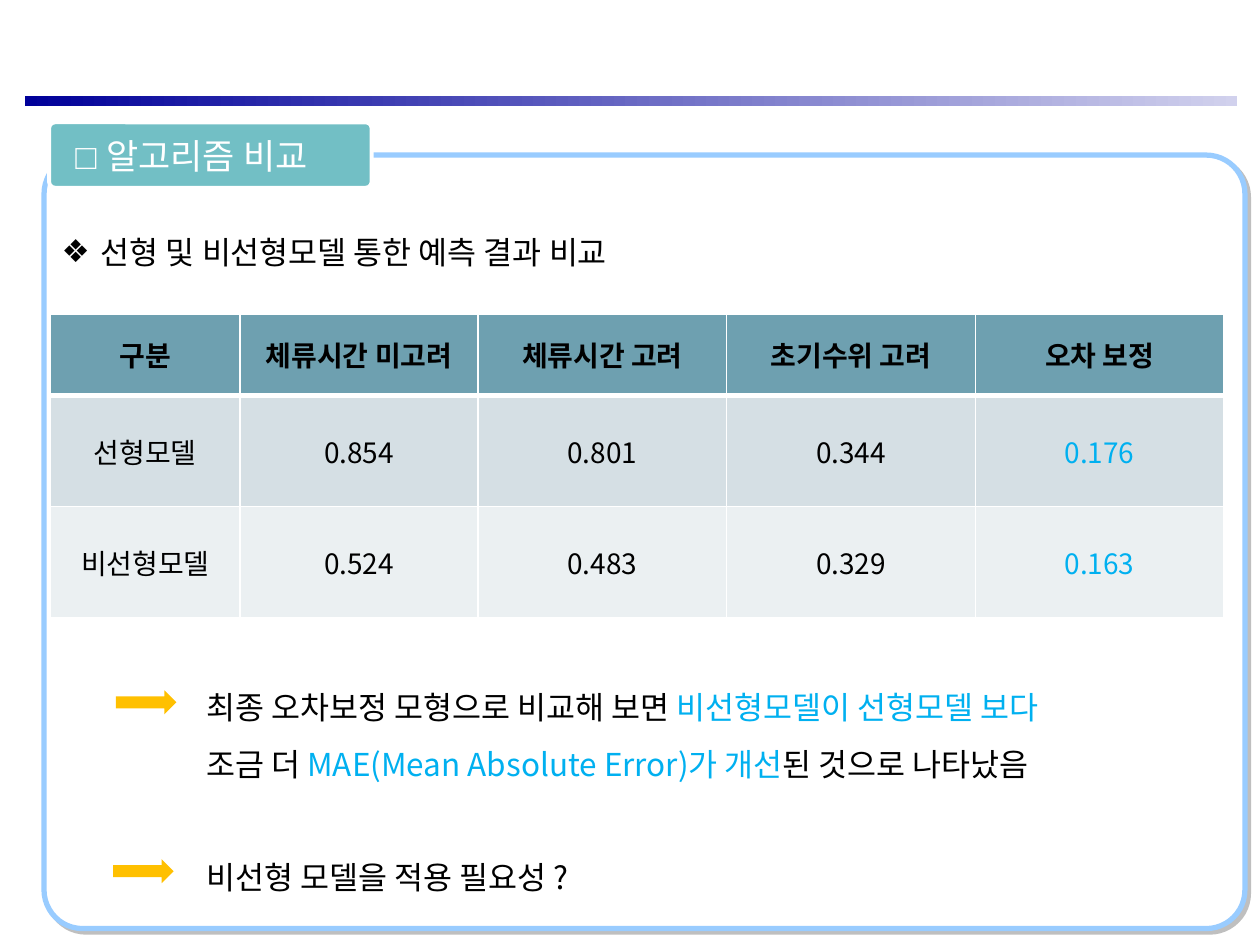
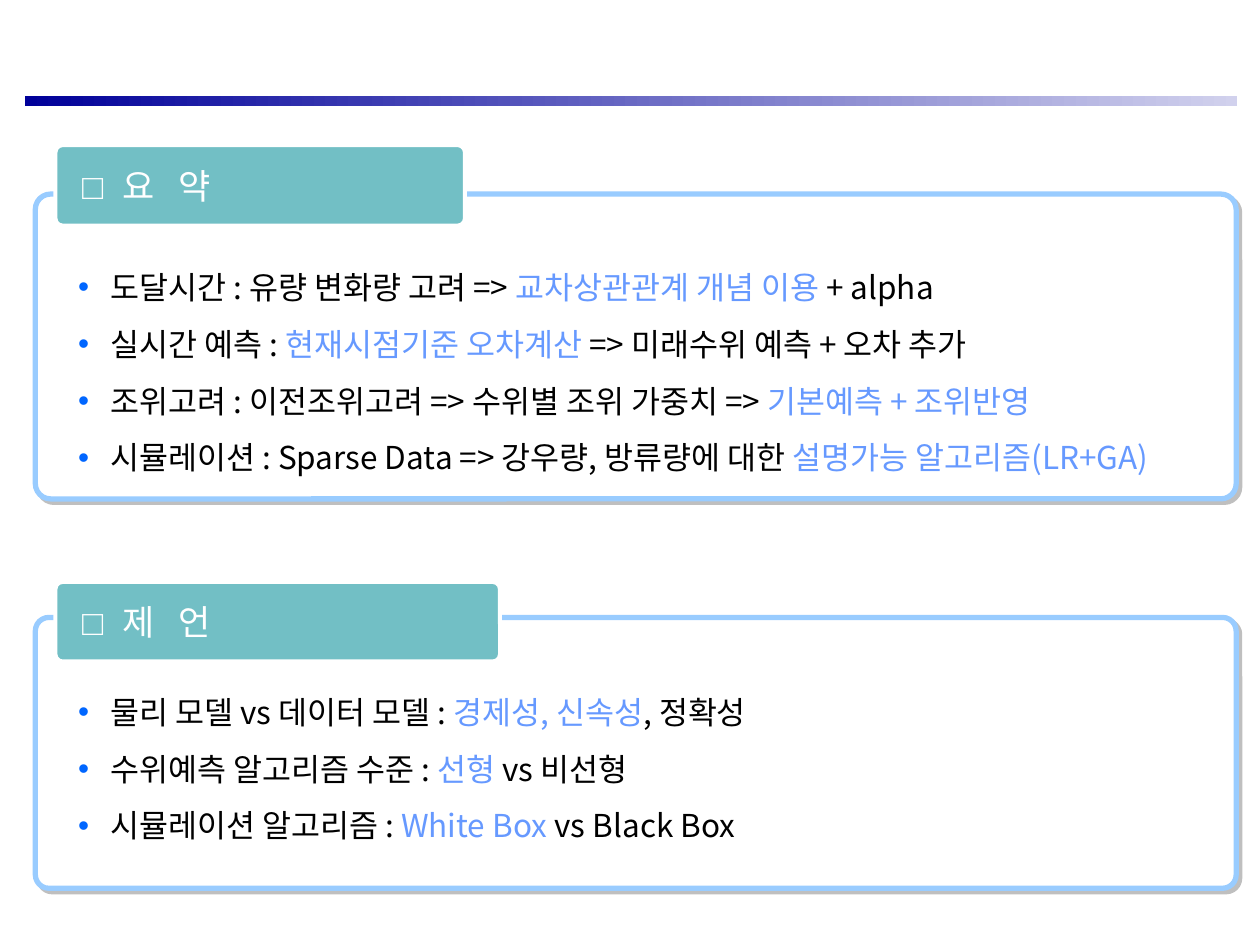
import pptx
import pptx.util
import pptx.dml.color
import pptx.enum.shapes
import pptx.enum.text
import pptx.oxml
import pptx.oxml.ns
from collections import namedtuple
from dataclasses import dataclass
from lxml import etree

Pt = pptx.util.Pt
qn = pptx.oxml.ns.qn
SHAPE = pptx.enum.shapes.MSO_SHAPE
MIDDLE = pptx.enum.text.MSO_ANCHOR.MIDDLE
CENTER = pptx.enum.text.PP_ALIGN.CENTER

Box = namedtuple("Box", "x y w h")


@dataclass(frozen=True)
class Theme:
    font: str = "Noto Sans CJK KR"
    symbol_font: str = "Arial"
    tab_size: float = 20
    body_size: float = 18
    table_size: float = 16
    line_pitch: float = 32.4
    text: str = "000000"
    white: str = "FFFFFF"
    rule_start: str = "000099"
    rule_end: str = "D1D1ED"
    frame: str = "99CCFF"
    shadow: str = "808080"
    tab: str = "72BFC5"
    cyan: str = "00B0F0"
    blue: str = "6699FF"
    bullet: str = "0066FF"
    arrow: str = "FFC000"
    table_rows: tuple = ("6EA0B0", "D5DFE4", "EBF0F2")


T = Theme()


def rgb(color):
    return pptx.dml.color.RGBColor.from_string(color)


def inside(box, dx, dy, w, h):
    """Box of size w by h, offset from the corner of another box."""
    return Box(box.x + dx, box.y + dy, w, h)


def lengths(box):
    return [Pt(v) for v in box]


def add_run(p, text, size, color=T.text, font=T.font, bold=False, spacing=0):
    r = p.add_run()
    r.text = text
    r.font.size, r.font.bold, r.font.name = Pt(size), bold, font
    r.font.color.rgb = rgb(color)
    rPr = r.font._element
    etree.SubElement(rPr, qn("a:ea")).set("typeface", font)
    if spacing:
        rPr.set("spc", str(int(spacing * 100)))


def set_bullet(p, char, indent, color):
    pPr = p._p.get_or_add_pPr()
    pPr.set("marL", str(Pt(indent)))
    pPr.set("indent", str(-Pt(indent)))
    clr = etree.SubElement(pPr, qn("a:buClr"))
    etree.SubElement(clr, qn("a:srgbClr")).set("val", color)
    etree.SubElement(pPr, qn("a:buFont")).set("typeface", T.symbol_font)
    etree.SubElement(pPr, qn("a:buChar")).set("char", char)


def add_shape(s, kind, box, fill, line=None, width=0, adj=None):
    sp = s.shapes.add_shape(kind, *lengths(box))
    sp.shadow.inherit = False
    sp.fill.solid()
    sp.fill.fore_color.rgb = rgb(fill)
    if line:
        sp.line.color.rgb = rgb(line)
        sp.line.width = Pt(width)
    else:
        sp.line.fill.background()
    if adj is not None:
        sp.adjustments[0] = adj
    return sp


def add_text(s, box, paragraphs, bullet=None, pitch=None):
    """Text box; each paragraph is a list of (text, color) runs."""
    tf = s.shapes.add_textbox(*lengths(box)).text_frame
    tf.word_wrap = True
    for i, runs in enumerate(paragraphs):
        p = tf.add_paragraph() if i else tf.paragraphs[0]
        if pitch:
            p.line_spacing = Pt(pitch)
        if bullet:
            set_bullet(p, *bullet)
        for text, color in runs:
            add_run(p, text, T.body_size, color)
    return tf


def add_header_rule(s):
    sp = add_shape(s, SHAPE.RECTANGLE, Box(14.4, 54.7, 692.6, 5.8), T.rule_start)
    sp.fill.gradient()
    sp.fill.gradient_angle = 0
    for stop, color, pos in zip(sp.fill.gradient_stops, (T.rule_start, T.rule_end), (0, 1)):
        stop.color.rgb = rgb(color)
        stop.position = pos


def add_panel(s, box, tab, label, box_gap=0, letter_gap=0):
    """Rounded frame with a hard shadow and a labelled tab over its top edge."""
    frame = add_shape(s, SHAPE.ROUNDED_RECTANGLE, box, T.white, T.frame, 3, 0.05)
    effects = frame._element.spPr.find(qn("a:effectLst"))
    shadow = etree.SubElement(effects, qn("a:outerShdw"), dist=str(Pt(2.8)),
                              dir="2700000", algn="ctr", rotWithShape="0")
    color = etree.SubElement(shadow, qn("a:srgbClr"), val=T.shadow)
    etree.SubElement(color, qn("a:alpha"), val="50000")

    sp = add_shape(s, SHAPE.ROUNDED_RECTANGLE, inside(box, *tab), T.tab, T.white, 2.25, 0.09)
    tf = sp.text_frame
    tf.margin_left, tf.margin_right = Pt(14), 0
    tf.margin_top = tf.margin_bottom = 0
    tf.vertical_anchor = MIDDLE
    p = tf.paragraphs[0]
    p.alignment = pptx.enum.text.PP_ALIGN.LEFT
    add_run(p, "□ ", T.tab_size, T.white, T.symbol_font, spacing=box_gap)
    add_run(p, label, T.tab_size, T.white, spacing=letter_gap)


def set_borders(cell, **widths):
    """White cell borders, which must stand before the fill."""
    tcPr = cell._tc.get_or_add_tcPr()
    for i, side in enumerate("LRTB"):
        ln = etree.Element(qn("a:ln" + side), w=str(Pt(widths.get(side, 1))))
        fill = etree.SubElement(ln, qn("a:solidFill"))
        etree.SubElement(fill, qn("a:srgbClr"), val=T.white)
        tcPr.insert(i, ln)


def add_error_table(s, box, rows, col_widths, row_heights):
    table = s.shapes.add_table(len(rows), len(col_widths), *lengths(box)).table
    for col, width in zip(table.columns, col_widths):
        col.width = Pt(width)
    for i, values in enumerate(rows):
        table.rows[i].height = Pt(row_heights[i])
        for j, value in enumerate(values):
            cell = table.cell(i, j)
            cell.vertical_anchor = MIDDLE
            cell.fill.solid()
            cell.fill.fore_color.rgb = rgb(T.table_rows[i])
            set_borders(cell, B=3 if i == 0 else 1, T=3 if i == 1 else 1)
            p = cell.text_frame.paragraphs[0]
            p.alignment = CENTER
            best = i > 0 and j == len(values) - 1
            add_run(p, value, T.table_size, T.cyan if best else T.text, bold=i == 0)


def add_conclusions(s, box):
    """Two findings, each led by an arrow."""
    for dx, dy in ((0, 15.8), (-1.6, 112.3)):
        add_shape(s, SHAPE.RIGHT_ARROW, inside(box, dx, dy, 34.6, 13.7), T.arrow)
    tf = add_text(s, inside(box, 44.6, 0, 553.7, 133.2), [
        [("최종 오차보정 모형으로 비교해 보면 ", T.text), ("비선형모델이 선형모델 보다", T.cyan)],
        [("조금 더 ", T.text), ("MAE(Mean Absolute Error)가 개선", T.cyan),
         ("된 것으로 나타났음", T.text)],
        [("비선형 모델을 적용 필요성 ?", T.text)],
    ], pitch=T.line_pitch)
    tf.paragraphs[-1].space_before = Pt(T.line_pitch)


def build_comparison(s):
    add_header_rule(s)
    box = Box(25.2, 88.6, 686.2, 442)
    add_panel(s, box, (2.9, -18.7, 184.3, 37.4), "알고리즘 비교")
    tf = add_text(s, inside(box, 2.9, 41, 400, 28.8),
                  [[("선형 및 비선형모델 통한 예측 결과 비교", T.text)]],
                  bullet=("❖", 22.5, T.text))
    tf.vertical_anchor = MIDDLE
    add_error_table(s, inside(box, 3.6, 90.7, 670.7, 173.8), [
        ("구분", "체류시간 미고려", "체류시간 고려", "초기수위 고려", "오차 보정"),
        ("선형모델", "0.854", "0.801", "0.344", "0.176"),
        ("비선형모델", "0.524", "0.483", "0.329", "0.163"),
    ], (108.4, 136, 142.1, 142.1, 142.1), (46.8, 63.4, 63.4))
    add_conclusions(s, inside(box, 41, 290.1, 598, 133.2))


def add_bullet_panel(s, box, tab, label, text_top, paragraphs):
    add_panel(s, box, tab, label, box_gap=2.8, letter_gap=4.5)
    add_text(s, inside(box, 17.3, text_top, 675, len(paragraphs) * T.line_pitch + 7.2),
             paragraphs, bullet=("•", 18.5, T.bullet), pitch=T.line_pitch)


def build_summary(s):
    add_header_rule(s)
    add_bullet_panel(s, Box(20.2, 110.9, 686.2, 174.2), (11.5, -28, 234, 46), "요 약", 28, [
        [("도달시간 : 유량 변화량 고려 => ", T.text), ("교차상관관계 개념 이용 ", T.blue),
         ("+ alpha", T.text)],
        [("실시간 예측 : ", T.text), ("현재시점기준 오차계산 ", T.blue),
         ("=> 미래수위 예측 + 오차 추가", T.text)],
        [("조위고려 : 이전조위고려 => 수위별 조위 가중치 => ", T.text),
         ("기본예측 + 조위반영", T.blue)],
        [("시뮬레이션 : Sparse Data => 강우량, 방류량에 대한 ", T.text),
         ("설명가능 알고리즘(LR+GA)", T.blue)],
    ])
    add_bullet_panel(s, Box(20.2, 352.8, 686.2, 154.8), (11.5, -20.2, 254, 45.4), "제 언", 28.8, [
        [("물리 모델 vs 데이터 모델 : ", T.text), ("경제성, 신속성", T.blue), (", 정확성", T.text)],
        [("수위예측 알고리즘 수준 : ", T.text), ("선형 ", T.blue), ("vs 비선형", T.text)],
        [("시뮬레이션 알고리즘 : ", T.text), ("White Box", T.blue), (" vs Black Box", T.text)],
    ])


def main():
    prs = pptx.Presentation()
    prs.slide_width, prs.slide_height = Pt(720), Pt(540)
    blank = prs.slide_layouts[6]
    for build in (build_comparison, build_summary):
        build(prs.slides.add_slide(blank))
    prs.save("out.pptx")


if __name__ == "__main__":
    main()
